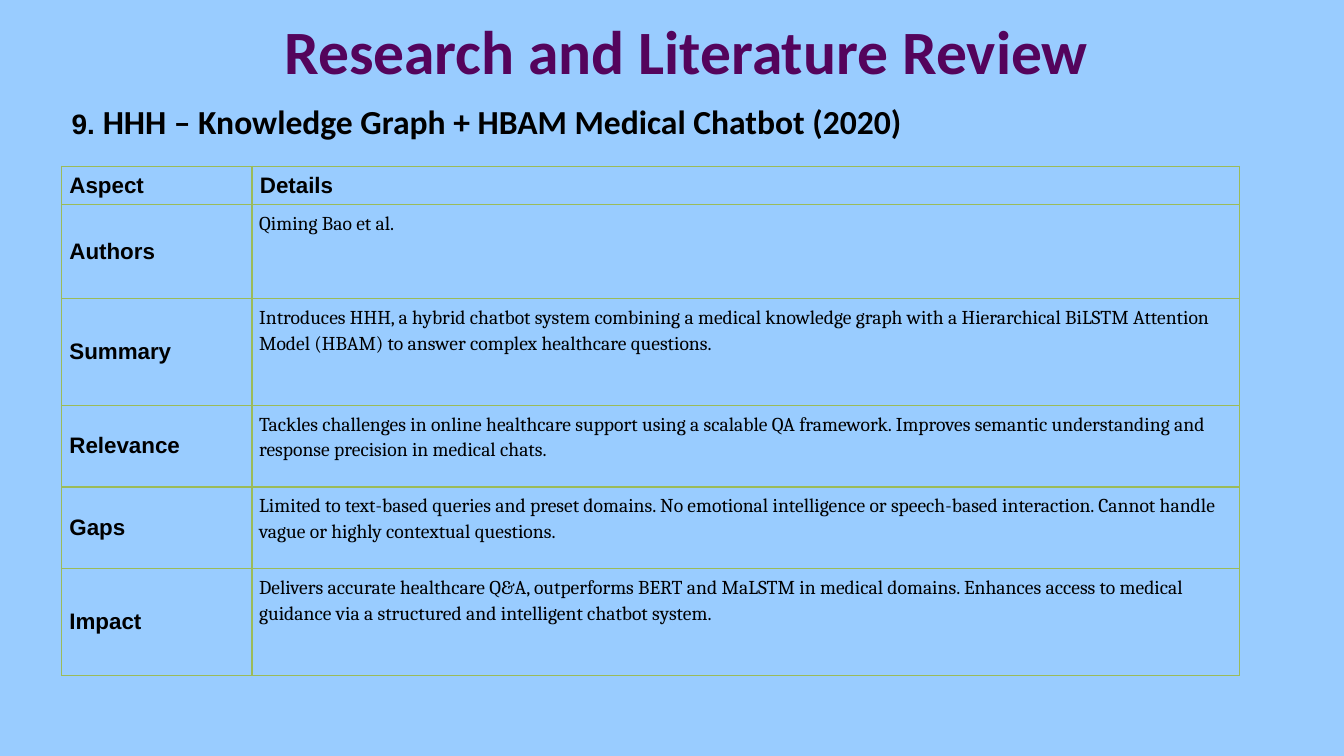
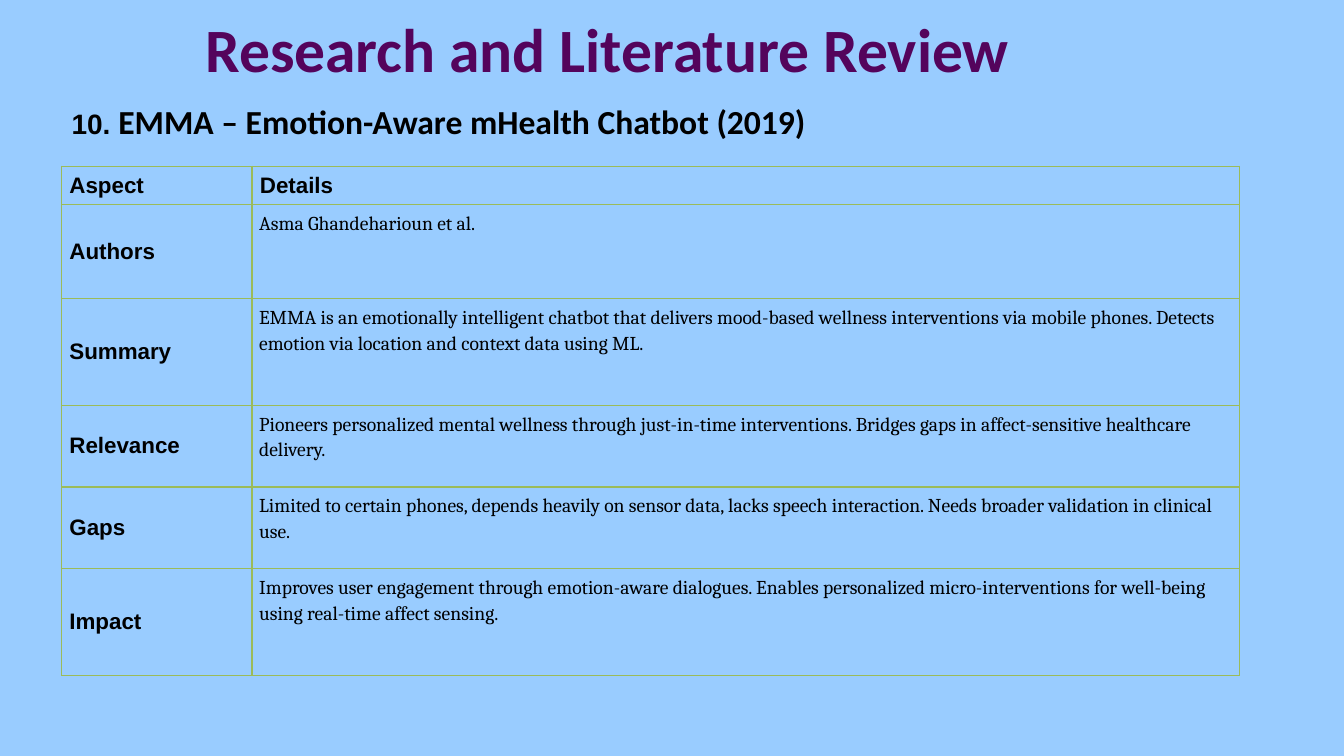
from lxml import etree
from pptx import Presentation
from pptx.dml.color import RGBColor
from pptx.enum.text import MSO_ANCHOR, PP_ALIGN
from pptx.oxml.ns import qn
from pptx.util import Cm, Pt

MIDDLE, TOP = MSO_ANCHOR.MIDDLE, MSO_ANCHOR.TOP
CENTER, LEFT = PP_ALIGN.CENTER, PP_ALIGN.LEFT

SKY, PLUM, BLACK, OLIVE = "99CCFF", "54045C", "000000", "9BBB59"
TITLE = "Research and Literature Review "
ASPECTS = ["Authors", "Summary", "Relevance", "Gaps", "Impact"]
COLUMN_WIDTHS = [4.8, 24.89]
ROW_HEIGHTS = [0.97, 2.36, 2.69, 2.06, 2.06, 2.69]

# Title left and top in cm, number, heading, one detail per aspect
REVIEWS = [
    (2.24, -0.33, "9. ", "HHH – Knowledge Graph + HBAM Medical Chatbot (2020)", [
        "Qiming Bao et al.",
        "Introduces HHH, a hybrid chatbot system combining a medical knowledge graph with a "
        "Hierarchical BiLSTM Attention Model (HBAM) to answer complex healthcare questions.",
        "Tackles challenges in online healthcare support using a scalable QA framework. "
        "Improves semantic understanding and response precision in medical chats.",
        "Limited to text-based queries and preset domains. No emotional intelligence or "
        "speech-based interaction. Cannot handle vague or highly contextual questions.",
        "Delivers accurate healthcare Q&A, outperforms BERT and MaLSTM in medical domains. "
        "Enhances access to medical guidance via a structured and intelligent chatbot system.",
    ]),
    (0.25, -0.38, "10. ", "EMMA – Emotion-Aware mHealth Chatbot (2019)", [
        "Asma Ghandeharioun et al.",
        "EMMA is an emotionally intelligent chatbot that delivers mood-based wellness "
        "interventions via mobile phones. Detects emotion via location and context data using ML.",
        "Pioneers personalized mental wellness through just-in-time interventions. "
        "Bridges gaps in affect-sensitive healthcare delivery.",
        "Limited to certain phones, depends heavily on sensor data, lacks speech interaction. "
        "Needs broader validation in clinical use.",
        "Improves user engagement through emotion-aware dialogues. Enables personalized "
        "micro-interventions for well-being using real-time affect sensing.",
    ]),
]


def rgb(color):
    return RGBColor.from_string(color)


def style(font, name, size, color=BLACK, bold=True):
    font.name, font.size, font.bold = name, Pt(size), bold
    font.color.rgb = rgb(color)


def place(item, left, top, width, height):
    item.left, item.top, item.width, item.height = Cm(left), Cm(top), Cm(width), Cm(height)


def add_borders(cell):
    """Draw all four cell edges; call before setting the cell's fill."""
    properties = cell._tc.get_or_add_tcPr()
    for edge in ("a:lnL", "a:lnR", "a:lnT", "a:lnB"):
        line = etree.SubElement(properties, qn(edge), w=str(Pt(1)))
        fill = etree.SubElement(line, qn("a:solidFill"))
        etree.SubElement(fill, qn("a:srgbClr"), val=OLIVE)


class ReviewDeck:
    def __init__(self):
        self.prs = Presentation()
        self.prs.slide_width, self.prs.slide_height = Cm(33.87), Cm(19.05)
        background = self.prs.slide_master.background.fill
        background.solid()
        background.fore_color.rgb = rgb(SKY)
        self.slide = None

    def add_slide(self):
        self.slide = self.prs.slides.add_slide(self.prs.slide_layouts[1])

    def title(self, text, left, top):
        title = self.slide.shapes.title
        place(title, left, top, 30.48, 3.18)
        title.text_frame.vertical_anchor = MIDDLE
        paragraph = title.text_frame.paragraphs[0]
        paragraph.text, paragraph.alignment = text, CENTER
        style(paragraph.font, "Calibri", 44, PLUM)

    def heading(self, number, text):
        body = self.slide.placeholders[1]
        place(body, 1.55, 2.41, 30.48, 12.19)
        paragraph = body.text_frame.paragraphs[0]
        paragraph.alignment = LEFT
        properties = paragraph._p.get_or_add_pPr()
        properties.set("marL", "0")
        properties.set("indent", "0")
        etree.SubElement(properties, qn("a:buNone"))
        for content, name, size in ((number, "Arial", 20), (text, "Calibri", 24)):
            run = paragraph.add_run()
            run.text = content
            style(run.font, name, size)

    def cell(self, cell, text, is_label):
        add_borders(cell)
        cell.fill.background()
        cell.text = text
        paragraph = cell.text_frame.paragraphs[0]
        if is_label:
            side, edge, cell.vertical_anchor = 0.2, 0.1, MIDDLE
            style(paragraph.font, "Arial", 16)
        else:
            side, edge, cell.vertical_anchor = 0.18, 0.13, TOP
            style(paragraph.font, "Cambria", 14, bold=False)
            paragraph.line_spacing = 1.14
        cell.margin_left = cell.margin_right = Cm(side)
        cell.margin_top = cell.margin_bottom = Cm(edge)

    def table(self, rows):
        table = self.slide.shapes.add_table(
            len(rows), len(COLUMN_WIDTHS), Cm(1.55), Cm(4.19),
            Cm(sum(COLUMN_WIDTHS)), Cm(sum(ROW_HEIGHTS))).table
        table.horz_banding = False
        for column, width in zip(table.columns, COLUMN_WIDTHS):
            column.width = Cm(width)
        for row, height in zip(table.rows, ROW_HEIGHTS):
            row.height = Cm(height)
        for r, texts in enumerate(rows):
            for c, text in enumerate(texts):
                self.cell(table.cell(r, c), text, is_label=r == 0 or c == 0)


def main():
    deck = ReviewDeck()
    for left, top, number, heading, details in REVIEWS:
        deck.add_slide()
        deck.title(TITLE, left, top)
        deck.heading(number, heading)
        deck.table([("Aspect", "Details"), *zip(ASPECTS, details)])
    deck.prs.save("out.pptx")


if __name__ == "__main__":
    main()
